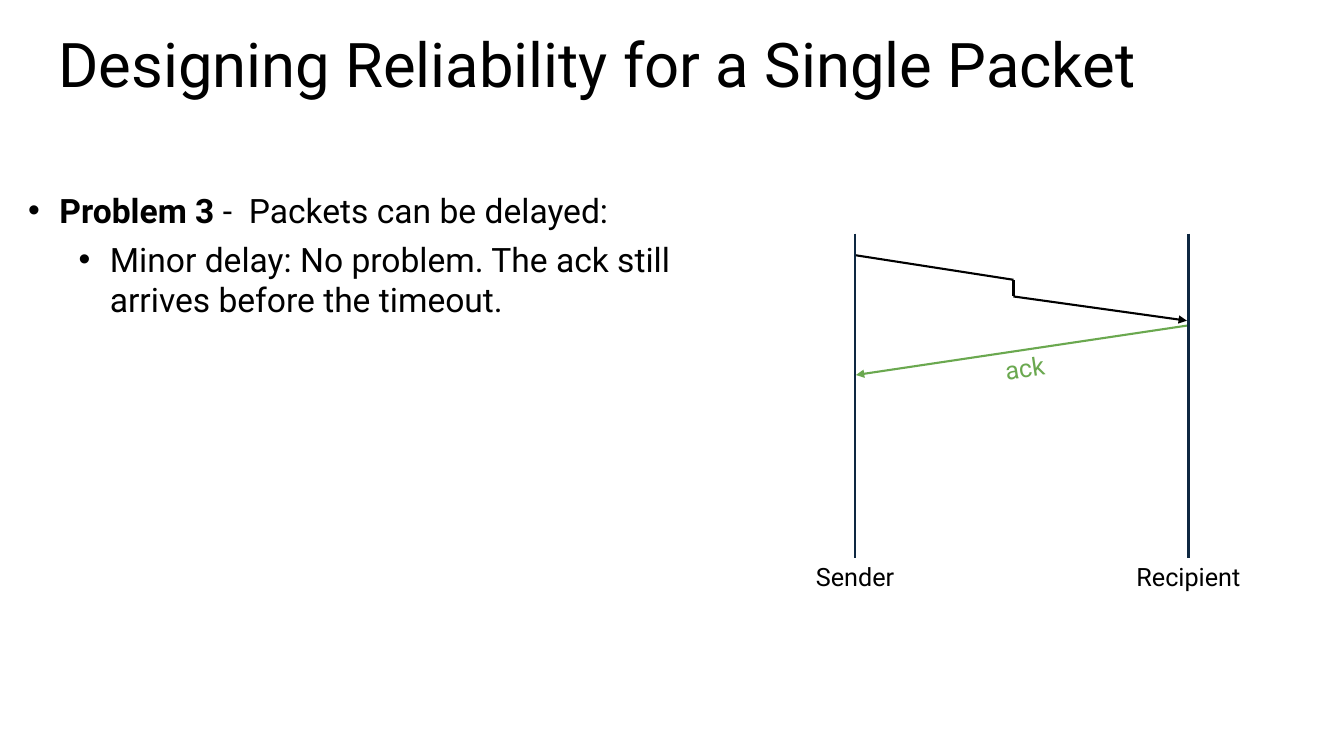
from collections import namedtuple

from lxml import etree
from pptx import Presentation
from pptx import util as u
from pptx.dml.color import RGBColor
from pptx.enum import shapes, text
from pptx.oxml.ns import qn

Cm, Pt = u.Cm, u.Pt
Box = namedtuple("Box", "left top width height")
FONT = "Roboto"
BLACK, NAVY, GREEN = "000000", "0E2841", "6AA84F"


def color(value):
    return RGBColor.from_string(value)


def add_text_box(page, box, insets):
    """Add an empty wrapping text box; insets are (horizontal, vertical) in cm."""
    shape = page.shapes.add_textbox(*(Cm(length) for length in box))
    frame = shape.text_frame
    frame.word_wrap = True
    frame.margin_left = frame.margin_right = Cm(insets[0])
    frame.margin_top = frame.margin_bottom = Cm(insets[1])
    return shape


def style(para, size, ink=BLACK):
    para.font.name = FONT
    para.font.size = Pt(size)
    para.font.color.rgb = color(ink)


def add_label(page, box, wording, insets, ink=BLACK):
    label = add_text_box(page, box, insets)
    para = label.text_frame.paragraphs[0]
    para.text = wording
    para.alignment = text.PP_ALIGN.CENTER
    style(para, 18, ink)
    return label


def add_line(page, start, end, ink, arrow=False):
    line = page.shapes.add_connector(
        shapes.MSO_CONNECTOR.STRAIGHT, *(Cm(length) for length in start + end))
    line.line.width = Pt(1.5)
    line.line.color.rgb = color(ink)
    if arrow:
        outline = line.line._get_or_add_ln()
        etree.SubElement(outline, qn("a:tailEnd"), type="triangle")
    etree.SubElement(line._element.spPr, qn("a:effectLst"))
    return line


def add_bullet(para, indent, hanging=0.79):
    properties = para._p.get_or_add_pPr()
    properties.set("marL", str(Cm(indent)))
    properties.set("indent", str(-Cm(hanging)))
    para.space_after = Pt(6)
    etree.SubElement(properties, qn("a:buFont"), typeface="Arial")
    etree.SubElement(properties, qn("a:buChar"), char="•")


def title(page, box):
    para = add_text_box(page, box, (0.33, 0.33)).text_frame.paragraphs[0]
    para.text = "Designing Reliability for a Single Packet"
    para.line_spacing = 0.9
    style(para, 44)


def problem(page, box):
    frame = add_text_box(page, box, (0.25, 0.13)).text_frame
    heading = frame.paragraphs[0]
    span = heading.add_run()
    span.text = "Problem 3 "
    span.font.bold = True
    heading.add_run().text = "-  Packets can be delayed:"
    detail = frame.add_paragraph()
    detail.text = "Minor delay: No problem. The ack still arrives before the timeout."
    detail.level = 1
    for para, indent in ((heading, 0.79), (detail, 2.06)):
        add_bullet(para, indent)
        style(para, 24)


def exchange(page, box):
    """Draw a late packet and its ack between two lifelines at the box's sides."""
    left, top, width, height = box
    right, bottom = left + width, top + height

    delay_x = left + 3.99
    sent, held, resumed, arrived = (top + drop for drop in (0.54, 1.16, 1.58, 2.19))
    add_line(page, (left, sent), (delay_x, held), BLACK)
    add_line(page, (delay_x, held), (delay_x, resumed), BLACK)
    add_line(page, (delay_x, resumed), (right - 0.04, arrived), BLACK, arrow=True)

    add_line(page, (right, top + 2.31), (left + 0.02, top + 3.56), GREEN, arrow=True)
    ack = add_label(page, Box(left + 3.67, top + 2.92, 1.19, 0.79), "ack",
                    (0.08, 0.08), GREEN)
    ack.text_frame.word_wrap = False
    ack.rotation = 351.5

    for x, name, label_width in ((left, "Sender", 3.07), (right, "Recipient", 3.33)):
        label = add_label(page, Box(x - label_width / 2, bottom, label_width, 0.76),
                          name, (0.25, 0.08))
        lifeline = add_line(page, (x, top), (x, bottom), NAVY)
        lifeline.end_connect(label, 0)


def main():
    deck = Presentation()
    deck.slide_width, deck.slide_height = Cm(33.87), Cm(19.05)
    page = deck.slides.add_slide(deck.slide_layouts[6])
    title(page, Box(1.14, 0.53, 31.55, 3.1))
    problem(page, Box(0.46, 4.65, 16.84, 3.56))
    exchange(page, Box(21.55, 5.89, 8.4, 8.18))
    deck.save("out.pptx")


if __name__ == "__main__":
    main()
